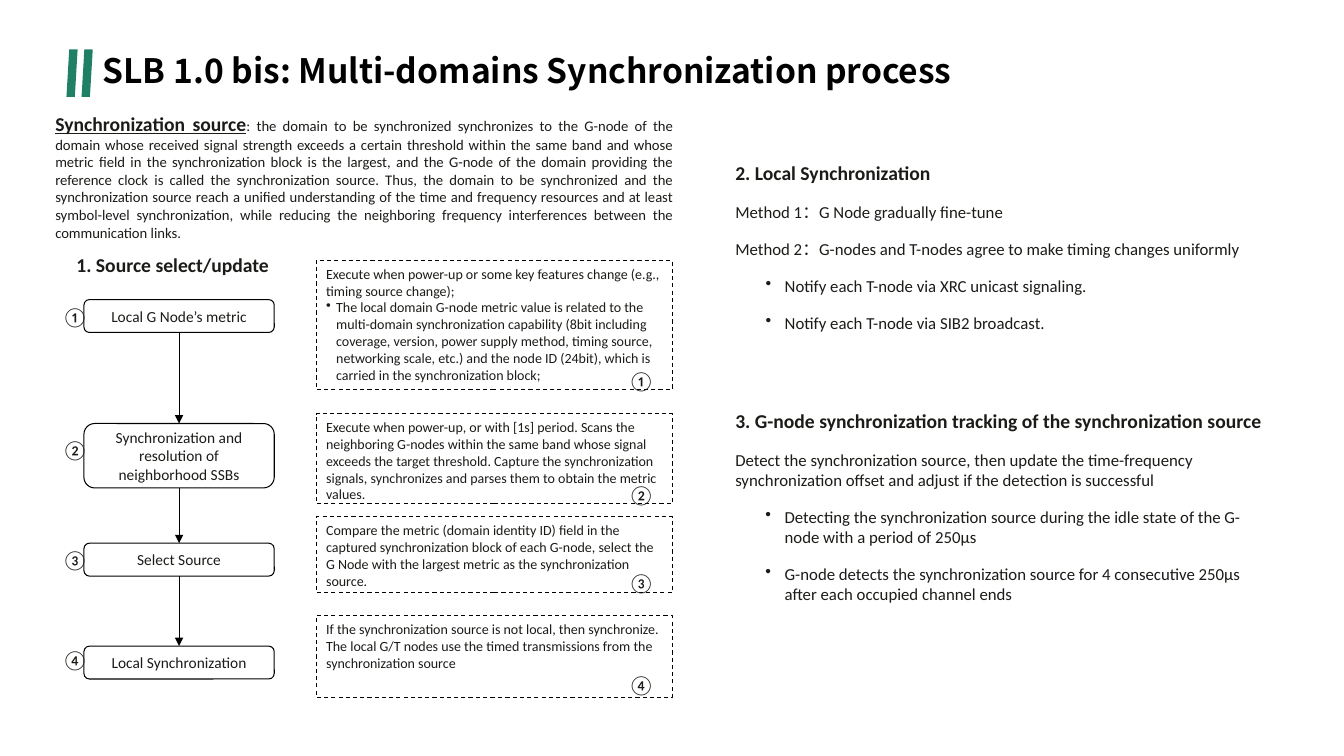
from dataclasses import dataclass

from pptx import Presentation
from pptx.dml.color import RGBColor
from pptx.enum.dml import MSO_LINE_DASH_STYLE as Dash
from pptx.enum.shapes import MSO_AUTO_SHAPE_TYPE as Preset, MSO_CONNECTOR_TYPE as Link
from pptx.enum.text import MSO_ANCHOR as Anchor, MSO_AUTO_SIZE as Fit, PP_ALIGN as Align
from pptx.oxml.ns import qn
from pptx.util import Pt


@dataclass(frozen=True)
class Theme:
    font: str = "Calibri"
    title_font: str = "Noto Sans CJK SC"
    ink: RGBColor = RGBColor(0x1B, 0x1B, 0x18)
    black: RGBColor = RGBColor(0, 0, 0)
    accent: RGBColor = RGBColor(0x1F, 0x80, 0x66)
    title: float = 24
    heading: float = 14
    body: float = 12
    step: float = 11
    intro: float = 10.5
    note: float = 10
    border: float = 0.75
    arrow: float = 0.5


class SlideBuilder:
    def __init__(self, deck, theme):
        self.theme = theme
        self.page = deck.slides.add_slide(deck.slide_layouts[6])

    def style(self, span, size, bold=False, font=None, color=None):
        span.font.size = Pt(size)
        span.font.bold = bold
        span.font.name = font or self.theme.font
        span.font.color.rgb = color or self.theme.ink
        east_asian = span.font._element.makeelement(qn("a:ea"), {"typeface": self.theme.title_font})
        span.font._element.find(qn("a:latin")).addnext(east_asian)

    def bullet(self, para, margin, hang):
        props = para._p.get_or_add_pPr()
        props.set("marL", str(Pt(margin)))
        props.set("indent", str(-Pt(hang)))
        props.append(props.makeelement(qn("a:buChar"), {"char": "•"}))

    def text(self, left, top, width, height, content, size, bold=False, wrap=True):
        box = self.page.shapes.add_textbox(Pt(left), Pt(top), Pt(width), Pt(height))
        frame = box.text_frame
        frame.word_wrap = wrap
        frame.auto_size = Fit.SHAPE_TO_FIT_TEXT
        frame.text = content
        for para in frame.paragraphs:
            for span in para.runs:
                self.style(span, size, bold)
        return box

    def title(self, left, top, width, height, content):
        box = self.text(left, top, width, height, content, self.theme.title)
        frame = box.text_frame
        frame.auto_size = Fit.NONE
        frame.vertical_anchor = Anchor.MIDDLE
        para = frame.paragraphs[0]
        para.line_spacing = 0.9
        font = para.runs[0].font
        font.name, font.bold = self.theme.title_font, True
        font.color.rgb = self.theme.black

    def intro(self, left, top, width, height, lead, content):
        box = self.text(left, top, width, height, lead, self.theme.heading, bold=True)
        para = box.text_frame.paragraphs[0]
        para.alignment = Align.JUSTIFY
        para.runs[0].font.underline = True
        span = para.add_run()
        span.text = content
        self.style(span, self.theme.intro)

    def section(self, left, top, width, height, heading, lines, bullets):
        content = "\n".join([heading, *lines, *bullets])
        box = self.text(left, top, width, height, content, self.theme.body)
        paras = box.text_frame.paragraphs
        self.style_heading(paras[0])
        for para in paras:
            para.space_before = para.space_after = Pt(6)
        for para in paras[1 + len(lines):]:
            para.level = 1
            self.bullet(para, 35.3, 13.7)

    def style_heading(self, para):
        para.runs[0].font.size = Pt(self.theme.heading)
        para.runs[0].font.bold = True

    def shape(self, preset, left, top, width, height):
        box = self.page.shapes.add_shape(preset, Pt(left), Pt(top), Pt(width), Pt(height))
        box.shadow.inherit = False
        return box

    def stripe(self, left, top, width, height):
        box = self.shape(Preset.PARALLELOGRAM, left, top, width, height)
        box.fill.solid()
        box.fill.fore_color.rgb = self.theme.accent
        box.line.fill.background()

    def outlined(self, preset, left, top, width, height, content, size, align, anchor):
        box = self.shape(preset, left, top, width, height)
        box.fill.background()
        box.line.color.rgb = self.theme.black
        box.line.width = Pt(self.theme.border)
        frame = box.text_frame
        frame.word_wrap = True
        frame.vertical_anchor = anchor
        frame.text = content
        for para in frame.paragraphs:
            para.alignment = align
            self.style(para.runs[0], size)
        return box

    def step(self, left, top, width, height, content):
        return self.outlined(Preset.ROUNDED_RECTANGLE, left, top, width, height, content,
                             self.theme.step, Align.CENTER, Anchor.MIDDLE)

    def note(self, left, top, width, height, lines):
        box = self.outlined(Preset.RECTANGLE, left, top, width, height, "\n".join(lines),
                            self.theme.note, Align.LEFT, Anchor.TOP)
        box.line.dash_style = Dash.DASH
        for para in box.text_frame.paragraphs[1:]:
            self.bullet(para, 7.2, 7.2)

    def badge(self, left, top, mark):
        self.text(left, top, 28.8, 24.5, mark, self.theme.heading, wrap=False)

    def arrow(self, upper, lower):
        line = self.page.shapes.add_connector(Link.STRAIGHT, 0, 0, 0, 0)
        line.begin_connect(upper, 2)
        line.end_connect(lower, 0)
        line.line.color.rgb = self.theme.black
        line.line.width = Pt(self.theme.arrow)
        outline = line.line._get_or_add_ln()
        outline.append(outline.makeelement(qn("a:tailEnd"), {"type": "triangle"}))
        props = line._element.spPr
        props.append(props.makeelement(qn("a:effectLst"), {}))


STEPS = [
    ("①", 214, 23.5, 214, "Local G Node’s metric"),
    ("②", 302.5, 46, 309.6, "Synchronization and resolution of neighborhood SSBs"),
    ("③", 388, 23.5, 388, "Select Source"),
    ("④", 461.5, 23.5, 459.4, "Local Synchronization"),
]
NOTES = [
    ("①", 186, 92, 260, [
        "Execute when power-up or some key features change (e.g., timing source change);",
        "The local domain G-node metric value is related to the multi-domain synchronization capability (8bit including coverage, version, power supply method, timing source, networking scale, etc.) and the node ID (24bit), which is carried in the synchronization block;"]),
    ("②", 295.5, 64, 341.3, [
        "Execute when power-up, or with [1s] period. Scans the neighboring G-nodes within the same band whose signal exceeds the target threshold. Capture the synchronization signals, synchronizes and parses them to obtain the metric values."]),
    ("③", 369, 54, 404, [
        "Compare the metric (domain identity ID) field in the captured synchronization block of each G-node, select the G Node with the largest metric as the synchronization source."]),
    ("④", 440, 58, 477.4, [
        "If the synchronization source is not local, then synchronize. The local G/T nodes use the timed transmissions from the synchronization source"]),
]


def main():
    deck = Presentation()
    deck.slide_width, deck.slide_height = Pt(960.5), Pt(540)
    theme = Theme()
    slide = SlideBuilder(deck, theme)

    for left in (47.5, 58.3):
        slide.stripe(left, 35.3, 8, 34)
    slide.title(66.2, 32.4, 828, 39, "SLB 1.0 bis: Multi-domains Synchronization process")
    slide.intro(
        32.4, 76.3, 456, 101, "Synchronization source",
        ": the domain to be synchronized synchronizes to the G-node of the domain whose received signal strength exceeds a certain threshold within the same band and whose metric field in the synchronization block is the largest, and the G-node of the domain providing the reference clock is called the synchronization source. Thus, the domain to be synchronized and the synchronization source reach a unified understanding of the time and frequency resources and at least symbol-level synchronization, while reducing the neighboring frequency interferences between the communication links.")

    slide.text(47.5, 177, 153.4, 24.5, "1. Source select/update", theme.heading, bold=True, wrap=False)
    boxes = [slide.step(60, top, 136, height, label) for _, top, height, _, label in STEPS]
    for upper, lower in zip(boxes, boxes[1:]):
        slide.arrow(upper, lower)
    for mark, _, _, badge_top, _ in STEPS:
        slide.badge(37.4, badge_top, mark)
    for mark, top, height, badge_top, lines in NOTES:
        slide.note(226, top, 254.5, height, lines)
        slide.badge(442, badge_top, mark)

    slide.section(
        518.4, 111.6, 389.5, 131, "2. Local Synchronization",
        ["Method 1：G Node gradually fine-tune",
         "Method 2：G-nodes and T-nodes agree to make timing changes uniformly"],
        ["Notify each T-node via XRC unicast signaling.",
         "Notify each T-node via SIB2 broadcast."])
    slide.section(
        518.4, 288.7, 399, 147.6, "3. G-node synchronization tracking of the synchronization source",
        ["Detect the synchronization source, then update the time-frequency synchronization offset and adjust if the detection is successful"],
        ["Detecting the synchronization source during the idle state of the G-node with a period of 250μs",
         "G-node detects the synchronization source for 4 consecutive 250μs after each occupied channel ends"])

    deck.save("out.pptx")


if __name__ == "__main__":
    main()
